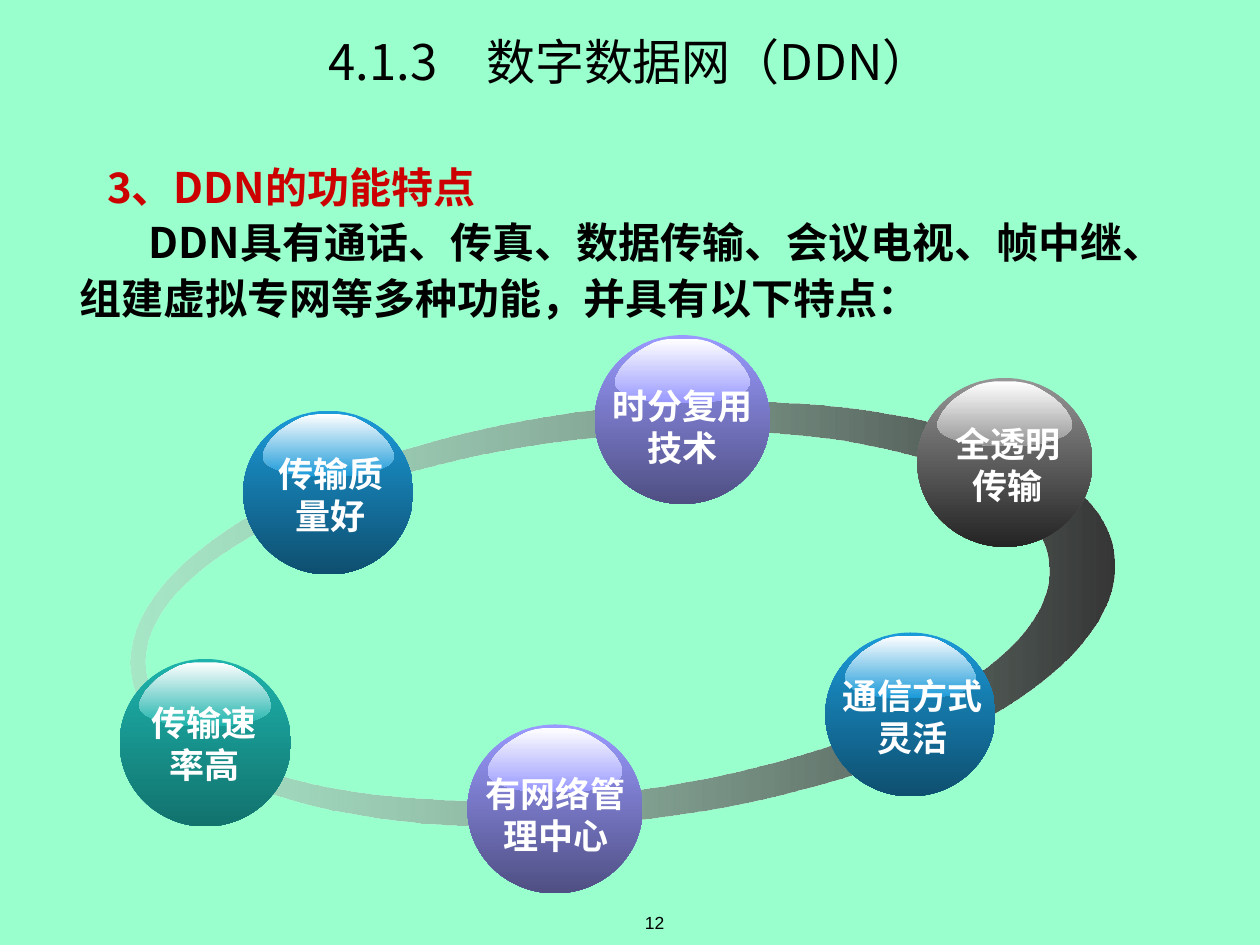
import math
from dataclasses import dataclass

import pptx
import pptx.dml.color
import pptx.enum.shapes
import pptx.enum.text
import pptx.oxml
import pptx.oxml.ns
import pptx.util
from pptx.util import Inches


@dataclass(frozen=True)
class Theme:
    background: str = "99FFCC"
    ink: str = "000000"
    accent: str = "CC0000"
    white: str = "FFFFFF"
    ring: tuple = ("C0C0C0", "333333")
    violet: tuple = ("9999FF", "4F4F83")
    blue: tuple = ("1B9AD9", "0E4F6F")
    grey: tuple = ("969696", "242424")
    teal: tuple = ("1DB3AC", "12726D")
    cjk_font: str = "Noto Sans CJK SC"
    latin_font: str = "Arial"
    title_size: int = 28
    body_size: int = 24
    label_size: int = 20
    number_size: int = 10


THEME = Theme()

# Right half of the gloss outline: x from the centre line, y from the top, both 0 to 1
GLOSS_HALF = [
    (0, 0), (0.15, 0), (0.28, 0.02), (0.41, 0.06), (0.52, 0.12), (0.63, 0.19),
    (0.74, 0.27), (0.83, 0.36), (0.91, 0.46), (0.96, 0.55), (0.99, 0.62), (1, 0.68),
    (0.99, 0.73), (0.96, 0.78), (0.92, 0.82), (0.87, 0.85), (0.81, 0.88), (0.74, 0.91),
    (0.65, 0.94), (0.56, 0.96), (0.46, 0.98), (0.35, 0.99), (0.24, 1), (0, 1),
]

# Ball box, colours, label box (left, top, width), label paragraphs
BALLS = [
    ((4.72, 2.66, 1.39, 1.34), THEME.violet, (4.74, 3.05, 1.36), ["时分复用", "技术"]),
    ((6.55, 5.02, 1.35, 1.30), THEME.blue, (6.66, 5.35, 1.17), ["通信方式", "灵活"]),
    ((7.28, 3.00, 1.39, 1.34), THEME.grey, (7.30, 3.35, 1.40), ["全透明", "传输"]),
    ((1.93, 3.26, 1.35, 1.30), THEME.blue, (2.04, 3.59, 1.17), ["传输质", "量好"]),
    ((3.71, 5.75, 1.39, 1.34), THEME.violet, (3.73, 6.13, 1.36), ["有网络管", "理中心"]),
    ((0.95, 5.23, 1.36, 1.33), THEME.teal, (1.11, 5.57, 1.02), ["传输速率高"]),
]


def rgb(color):
    return pptx.dml.color.RGBColor.from_string(color)


def add_span(para, text, size, font, color, bold=False):
    span = para.add_run()
    span.text = text
    span.font.size = pptx.util.Pt(size)
    span.font.name = font
    span.font.bold = bold
    span.font.color.rgb = rgb(color)
    east_asian = pptx.oxml.parse_xml(
        f'<a:ea {pptx.oxml.ns.nsdecls("a")} typeface="{THEME.cjk_font}"/>')
    span.font._element.find(pptx.oxml.ns.qn("a:latin")).addnext(east_asian)


def add_text_box(shapes, area):
    box = shapes.add_textbox(*(Inches(value) for value in area))
    frame = box.text_frame
    frame.word_wrap = True
    frame.margin_left = frame.margin_right = frame.margin_top = frame.margin_bottom = 0
    return frame


def paint(shape, colors, angle, first_alpha=None):
    """Gradient fill without line or shadow; the angle runs clockwise."""
    shape.shadow.inherit = False
    shape.line.fill.background()
    shape.fill.gradient()
    shape.fill.gradient_angle = (360 - angle) % 360
    for stop, color in zip(shape.fill.gradient_stops, colors):
        stop.color.rgb = rgb(color)
    if first_alpha is not None:
        first_color = next(shape._element.spPr.iter(pptx.oxml.ns.qn("a:srgbClr")))
        first_color.append(pptx.oxml.parse_xml(
            f'<a:alpha {pptx.oxml.ns.nsdecls("a")} val="{first_alpha * 1000}"/>'))


def add_outline(shapes, contours):
    """One freeform made of closed contours given in inches."""
    contours = [[(Inches(x), Inches(y)) for x, y in contour] for contour in contours]
    builder = shapes.build_freeform(*contours[0][0])
    for index, contour in enumerate(contours):
        if index:
            builder.move_to(*contour[0])
        builder.add_line_segments(contour[1:], close=True)
    return builder.convert_to_shape()


def ellipse_points(center, radii, direction=1, count=120):
    turns = [direction * 2 * math.pi * step / count for step in range(count)]
    return [(center[0] + radii[0] * math.cos(turn), center[1] + radii[1] * math.sin(turn))
            for turn in turns]


def add_title(page, area):
    title = page.shapes.title
    title.left, title.top, title.width, title.height = (Inches(value) for value in area)
    frame = title.text_frame
    frame.vertical_anchor = pptx.enum.text.MSO_ANCHOR.MIDDLE
    para = frame.paragraphs[0]
    para.alignment = pptx.enum.text.PP_ALIGN.CENTER
    add_span(para, "4.1.3　数字数据网（DDN）", THEME.title_size, THEME.cjk_font, THEME.ink)


def add_body(page, area):
    frame = add_text_box(page.shapes, area)
    lines = [
        ("3、DDN的功能特点", THEME.accent, 0.22),
        ("DDN具有通话、传真、数据传输、会议电视、帧中继、组建虚拟专网等多种功能，并具有以下特点：",
         THEME.ink, 0.55),
    ]
    for index, (text, color, indent) in enumerate(lines):
        para = frame.add_paragraph() if index else frame.paragraphs[0]
        para.line_spacing = 1.1
        para._p.get_or_add_pPr().set("indent", str(Inches(indent)))
        add_span(para, text, THEME.body_size, THEME.cjk_font, color, bold=True)


def add_ring(page, area):
    left, top, width, height = area
    center = (left + width / 2, top + height / 2)
    outer = ellipse_points(center, (width / 2, height / 2))
    # The hole sits left of centre, so the band is thickest on the right
    hole = ellipse_points((center[0] - 0.2, center[1] - 0.01), (3.61, 1.41), direction=-1)
    ring = add_outline(page.shapes, [outer, hole])
    ring.rotation = -6.8
    paint(ring, THEME.ring, 7, first_alpha=36)


def add_ball(page, area, colors, label_area, label):
    left, top, width, height = area
    shapes = page.shapes.add_group_shape().shapes
    ball = shapes.add_shape(pptx.enum.shapes.MSO_SHAPE.OVAL,
                            *(Inches(value) for value in area))
    paint(ball, colors, 90)

    # Gloss: the half outline and its mirror
    middle, half_width = left + width / 2, 0.385 * width
    gloss_top, gloss_height = top + 0.02 * height, 0.38 * height
    right = [(middle + x * half_width, gloss_top + y * gloss_height) for x, y in GLOSS_HALF]
    mirrored = [(2 * middle - x, y) for x, y in reversed(right[1:-1])]
    paint(add_outline(shapes, [right + mirrored]), (THEME.white, colors[0]), 90)

    # Label
    frame = add_text_box(shapes, (*label_area, 0.67))
    for index, text in enumerate(label):
        para = frame.add_paragraph() if index else frame.paragraphs[0]
        para.alignment = pptx.enum.text.PP_ALIGN.CENTER
        add_span(para, text, THEME.label_size, THEME.latin_font, THEME.white, bold=True)


def add_page_number(page, area):
    frame = add_text_box(page.shapes, area)
    frame.vertical_anchor = pptx.enum.text.MSO_ANCHOR.MIDDLE
    para = frame.paragraphs[0]
    para.alignment = pptx.enum.text.PP_ALIGN.CENTER
    add_span(para, "12", THEME.number_size, THEME.latin_font, THEME.ink)


def main():
    deck = pptx.Presentation()
    deck.slide_width, deck.slide_height = Inches(10), Inches(7.5)
    page = deck.slides.add_slide(deck.slide_layouts[5])
    page.background.fill.solid()
    page.background.fill.fore_color.rgb = rgb(THEME.background)

    add_page_number(page, (4.13, 7.14, 2.13, 0.36))
    add_title(page, (0, 0.17, 10, 0.62))
    add_ring(page, (1.01, 3.24, 7.86, 3.27))
    for ball in BALLS:
        add_ball(page, *ball)
    add_body(page, (0.63, 1.24, 8.91, 1.32))
    deck.save("out.pptx")


if __name__ == "__main__":
    main()
